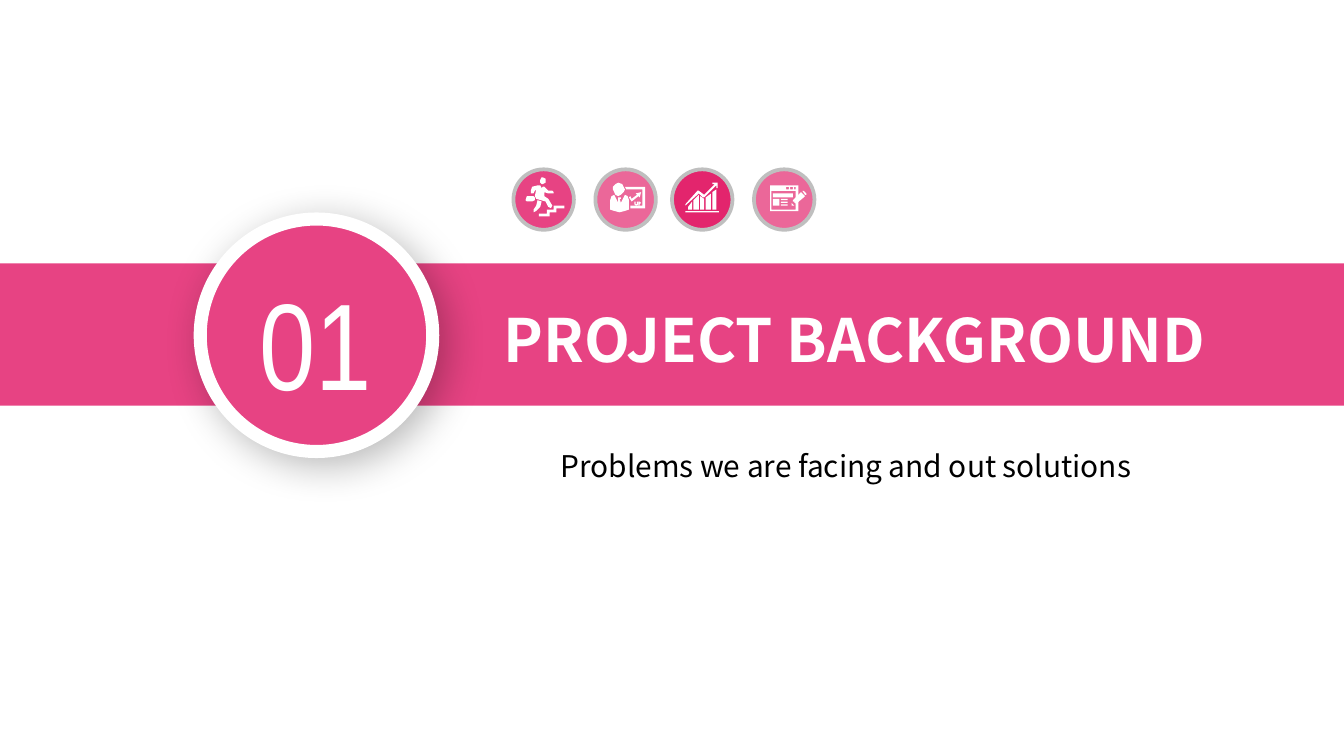
from lxml import etree
from pptx import Presentation, util as u
from pptx.dml.color import RGBColor
from pptx.enum import shapes, text
from pptx.oxml.ns import qn

PINK = RGBColor(0xE7, 0x43, 0x83)
LIGHT = RGBColor(0xEB, 0x67, 0x99)
DEEP = RGBColor(0xE3, 0x25, 0x6D)
WHITE = RGBColor(0xFF, 0xFF, 0xFF)
GREY = RGBColor(0xBF, 0xBF, 0xBF)
BLACK = RGBColor(0, 0, 0)
SANS = "Noto Sans CJK SC"
RECT = shapes.MSO_SHAPE.RECTANGLE
OVAL = shapes.MSO_SHAPE.OVAL
UNIT = u.Inches(0.01)  # icon outlines are in hundredths of an inch


class Deck:
    def __init__(self):
        self.prs = Presentation()
        self.prs.slide_width = u.Inches(10)
        self.prs.slide_height = u.Inches(10 * 9 / 16)
        self.slide = self.prs.slides.add_slide(self.prs.slide_layouts[6])
        self.home = self.group = self.slide.shapes

    def begin(self):
        """Open a new group for the shapes that follow."""
        self.group = self.home.add_group_shape().shapes

    def paint(self, item, fill, line=None, width=0):
        item.shadow.inherit = False
        item.fill.solid()
        item.fill.fore_color.rgb = fill
        if line is None:
            item.line.fill.background()
        else:
            item.line.color.rgb = line
            item.line.width = u.Pt(width)
        return item

    def shape(self, kind, box, fill, line=None, width=0):
        item = self.group.add_shape(kind, *map(u.Inches, box))
        return self.paint(item, fill, line, width)

    def free(self, *rings):
        pen = self.group.build_freeform(*rings[0][0], scale=UNIT)
        for i, ring in enumerate(rings):
            if i:
                pen.move_to(*ring[0])
            pen.add_line_segments(ring[1:], close=True)
        return self.paint(pen.convert_to_shape(), WHITE)

    def label(self, words, box, size, color, font=SANS, bold=False,
              align=None, inset=(0.1, 0.05), space=None):
        frame = self.group.add_textbox(*map(u.Inches, box)).text_frame
        frame.word_wrap = True
        frame.margin_left = frame.margin_right = u.Inches(inset[0])
        frame.margin_top = frame.margin_bottom = u.Inches(inset[1])
        frame.text = words
        para = frame.paragraphs[0]
        para.alignment = align
        if space:
            para.line_spacing = u.Pt(space)
        style = para.runs[0].font
        style.name, style.size, style.bold = font, u.Pt(size), bold
        style.color.rgb = color

    def badge(self, left, fill):
        self.begin()
        self.shape(OVAL, (left, 1.26, 0.45, 0.45), fill, GREY, 2)

    def shade(self, item, alpha, blur, dist, angle):
        effects = item._element.spPr.find(qn("a:effectLst"))
        outer = etree.SubElement(
            effects, qn("a:outerShdw"), blurRad=str(u.Pt(blur)),
            dist=str(u.Pt(dist)), dir=str(angle * 60000),
            algn="tl", rotWithShape="0")
        tint = etree.SubElement(outer, qn("a:srgbClr"), val="000000")
        etree.SubElement(tint, qn("a:alpha"), val=str(alpha * 1000))


def box(left, top, right, low):
    return [(left, top), (right, top), (right, low), (left, low)]


def climb(deck):
    deck.badge(3.82, PINK)
    # Stairs
    deck.free([(401, 159), (407, 159), (407, 156), (412, 156), (412, 153),
               (420, 153), (420, 155), (414, 155), (414, 158), (409, 158),
               (409, 161), (401, 161)])
    # Case, rear leg, body and head
    deck.free([(392, 146), (397, 146), (398, 147), (398, 149), (396, 150),
               (392, 150), (391, 149)],
              [(400, 149), (403, 150), (402, 154), (399, 157), (397, 157.5),
               (397, 156), (399, 153)],
              [(402, 138), (403, 140), (404, 139), (405, 139), (408, 142),
               (411, 142), (412.5, 143), (412, 144), (408, 144.5),
               (405, 143), (405, 146), (408, 148), (411, 153), (410.5, 155),
               (408, 154), (406, 150.5), (399, 148), (398, 146), (399, 141),
               (397.5, 141.5), (397, 144), (395, 144.5), (395, 142),
               (396.5, 139), (400, 138)],
              [(404.5, 132), (406, 133), (406, 135.5), (404.5, 137.2),
               (403, 137.2), (402, 136), (402, 134), (403, 132.4)])


def teach(deck):
    deck.badge(4.43, LIGHT)
    # Board
    deck.free([(465, 139), (480, 139), (480, 155), (469, 155), (469, 153),
               (478, 153), (478, 141), (466, 141)])
    # Speaker
    deck.free([(460.5, 136), (463, 137), (464.5, 139), (465, 141),
               (464, 143), (462.5, 145.3), (460.5, 146), (458.5, 145.3),
               (457, 143), (456, 141), (456.5, 139), (458, 137)])
    # Rising arrow
    deck.free([(469, 146), (468, 147), (470, 150), (475, 146), (475.5, 147),
               (477, 143), (473, 144), (474, 145), (470, 148)])
    # Suit
    deck.free([(465, 145), (462, 151), (461, 148), (462, 147.5), (461.5, 147),
               (460, 147), (460, 148), (460, 151), (457, 145), (455, 146),
               (454, 149), (454, 156), (457, 157.3), (461, 158),
               (465, 157.3), (468, 156), (468, 149), (467, 146.5)])
    # Tiny letters on the board
    deck.free([(472, 150), (472, 151.5), (473, 153), (474, 153), (475, 151.5),
               (475, 150), (474, 150), (474, 152), (473, 152), (473, 150)])
    deck.free([(475, 150), (476.5, 150), (477, 151), (476.5, 152),
               (476, 152), (476, 153), (475, 153)])


def form(deck):
    deck.badge(5.61, LIGHT)
    # Window with three buttons
    dots = [box(x, 139.3, x + 1.5, 140.8) for x in (585.3, 588.2, 591)]
    deck.free(box(573, 138, 594, 157), box(574.5, 142, 592.5, 155.5), *dots)
    # Content blocks
    deck.shape(RECT, (5.75, 1.44, 0.15, 0.03), WHITE)
    deck.shape(RECT, (5.75, 1.48, 0.05, 0.05), WHITE)
    for i in range(3):
        deck.shape(RECT, (5.81, 1.48 + 0.02 * i, 0.05, 0.01), WHITE)
    # Pencil
    deck.free([(589, 151), (589, 153), (591, 153)])
    deck.free([(599, 145), (600, 145), (600.5, 144), (598, 141.5), (597, 142)])
    deck.free([(596, 143), (590, 149), (590, 150), (591, 150), (591, 151),
               (592, 151), (592.5, 152), (599, 146)])


def growth(deck):
    deck.badge(5, DEEP)
    deck.shape(RECT, (5.1, 1.57, 0.25, 0.01), WHITE)
    # Bars: left edge, top left, top right
    for left, high, end in ((511.7, 154, 150), (516.2, 149, 145),
                            (520.7, 146, 148.5), (525.3, 147, 143.5),
                            (529.8, 143, 141)):
        deck.free([(left, high), (left + 3.5, end),
                   (left + 3.5, 156.4), (left, 156.4)])
    # Trend arrow
    deck.free([(510.5, 153), (519.7, 144), (523, 147), (524, 147),
               (533, 138), (533, 140.5), (534.5, 140.5), (534.5, 136),
               (529.5, 136), (529.5, 137.2), (532, 137.2), (523.5, 145.4),
               (520, 142), (519.4, 142), (510, 152)])


def main():
    deck = Deck()
    # Band and headings
    deck.shape(RECT, (0, 1.96, 10, 1.06), PINK)
    deck.label("PROJECT BACKGROUND", (3.65, 2.2, 5.76, 1.18), 32, WHITE,
               bold=True)
    center, inset = text.PP_ALIGN.CENTER, (0.07, 0.04)
    deck.label("Problems we are facing and out solutions",
               (3.65, 3.21, 5.29, 0.39), 16, BLACK, align=center,
               inset=inset, space=24.9)
    # Icon row
    for draw in (climb, teach, form, growth):
        draw(deck)
    # Section number
    deck.begin()
    disc = deck.shape(OVAL, (1.49, 1.63, 1.73, 1.73), PINK, WHITE, 7)
    deck.shade(disc, 28, 22, 6, 45)
    deck.label("01", (1.69, 1.95, 1.31, 1.19), 66, WHITE, "Arial Narrow",
               align=center, inset=inset)
    deck.prs.save("out.pptx")


if __name__ == "__main__":
    main()
